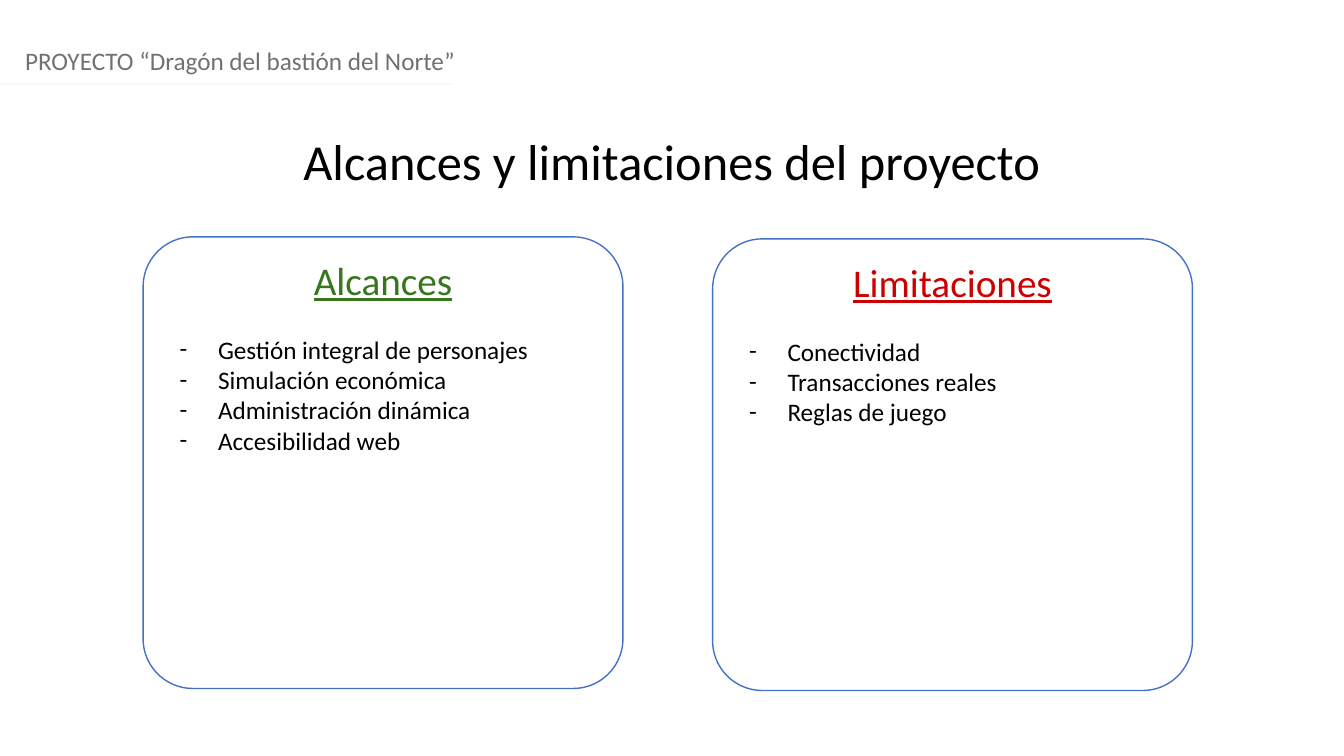
from dataclasses import dataclass

from lxml import etree
from pptx import Presentation
from pptx.dml.color import RGBColor
from pptx.enum.shapes import MSO_CONNECTOR, MSO_SHAPE
from pptx.enum.text import MSO_ANCHOR, MSO_AUTO_SIZE, PP_ALIGN
from pptx.oxml.ns import qn
from pptx.util import Inches, Pt

STRAIGHT = MSO_CONNECTOR.STRAIGHT
ROUNDED = MSO_SHAPE.ROUNDED_RECTANGLE
TOP = MSO_ANCHOR.TOP
NO_FIT = MSO_AUTO_SIZE.NONE
LEFT, CENTER, JUSTIFY = PP_ALIGN.LEFT, PP_ALIGN.CENTER, PP_ALIGN.JUSTIFY

SLIDE_WIDTH, SLIDE_HEIGHT = Inches(13.33), Inches(7.5)
COLUMN, ROW = SLIDE_WIDTH / 160, SLIDE_HEIGHT / 90


@dataclass(frozen=True)
class Theme:
    font: str = "Calibri"
    title_size: int = 36
    heading_size: int = 28
    body_size: int = 18
    list_gap: int = 22
    ink: str = "000000"
    muted: str = "757070"
    rule: str = "F5F7FC"
    paper: str = "FFFFFF"
    outline: str = "4472C4"
    scope: str = "38761D"
    limits: str = "CC0000"


THEME = Theme()

CARDS = [
    ("Alcances", THEME.scope, (17.04, 28.2, 57.12, 53.76),
     ["Gestión integral de personajes", "Simulación económica",
      "Administración dinámica", "Accesibilidad web"]),
    ("Limitaciones", THEME.limits, (84.84, 28.44, 57.12, 53.76),
     ["Conectividad", "Transacciones reales", "Reglas de juego"]),
]


def on_grid(box):
    """Turn a box in columns and rows into slide lengths."""
    left, top, width, height = box
    return (round(left * COLUMN), round(top * ROW),
            round(width * COLUMN), round(height * ROW))


def set_frame(frame):
    frame.word_wrap = True
    frame.auto_size = NO_FIT
    frame.vertical_anchor = TOP


def write(para, text, size, color, align, underline=False):
    para.alignment = align
    span = para.add_run()
    span.text = text
    span.font.name = THEME.font
    span.font.size = Pt(size)
    span.font.underline = underline
    span.font.color.rgb = RGBColor.from_string(color)


def add_dash(para):
    """Give the paragraph a hanging dash bullet."""
    props = para._p.get_or_add_pPr()
    props.set("marL", str(Inches(0.5)))
    props.set("indent", str(Inches(-0.38)))
    color = etree.SubElement(props, qn("a:buClr"))
    etree.SubElement(color, qn("a:srgbClr"), val=THEME.ink)
    etree.SubElement(props, qn("a:buFont"), typeface=THEME.font)
    etree.SubElement(props, qn("a:buChar"), char="-")


def add_header(page, box):
    left, top, width, height = on_grid(box)
    rule_y = top + height
    rule = page.shapes.add_connector(STRAIGHT, left, rule_y, left + width, rule_y)
    rule.line.color.rgb = RGBColor.from_string(THEME.rule)
    rule.line.width = Pt(1.25)
    etree.SubElement(rule._element.spPr, qn("a:effectLst"))

    text_left, text_top = left + round(1.8 * COLUMN), top + round(4.8 * ROW)
    label = page.shapes.add_textbox(text_left, text_top, SLIDE_WIDTH - text_left,
                                    round(4.8 * ROW))
    set_frame(label.text_frame)
    write(label.text_frame.paragraphs[0], "PROYECTO “Dragón del bastión del Norte”",
          THEME.body_size, THEME.muted, LEFT)


def add_title(page, box):
    title = page.shapes.title
    title.left, title.top, title.width, title.height = on_grid(box)
    set_frame(title.text_frame)
    write(title.text_frame.paragraphs[0], "Alcances y limitaciones del proyecto",
          THEME.title_size, THEME.ink, CENTER)


def add_card(page, heading, color, box, items):
    card = page.shapes.add_shape(ROUNDED, *on_grid(box))
    card.adjustments[0] = 0.11
    card.shadow.inherit = False
    card.fill.solid()
    card.fill.fore_color.rgb = RGBColor.from_string(THEME.paper)
    card.line.color.rgb = RGBColor.from_string(THEME.outline)
    card.line.width = Pt(1)
    frame = card.text_frame
    set_frame(frame)
    write(frame.paragraphs[0], heading, THEME.heading_size, color, CENTER, True)
    for index, item in enumerate(items):
        para = frame.add_paragraph()
        para.space_before = Pt(0 if index else THEME.list_gap)
        add_dash(para)
        write(para, item, THEME.body_size, THEME.ink, JUSTIFY)


def main():
    deck = Presentation()
    deck.slide_width, deck.slide_height = SLIDE_WIDTH, SLIDE_HEIGHT
    page = deck.slides.add_slide(deck.slide_layouts.get_by_name("Title Only"))
    add_header(page, (0, 0, 53.64, 9.96))
    add_title(page, (0, 14.88, 160, 8.52))
    for heading, color, box, items in CARDS:
        add_card(page, heading, color, box, items)
    deck.save("out.pptx")


if __name__ == "__main__":
    main()
